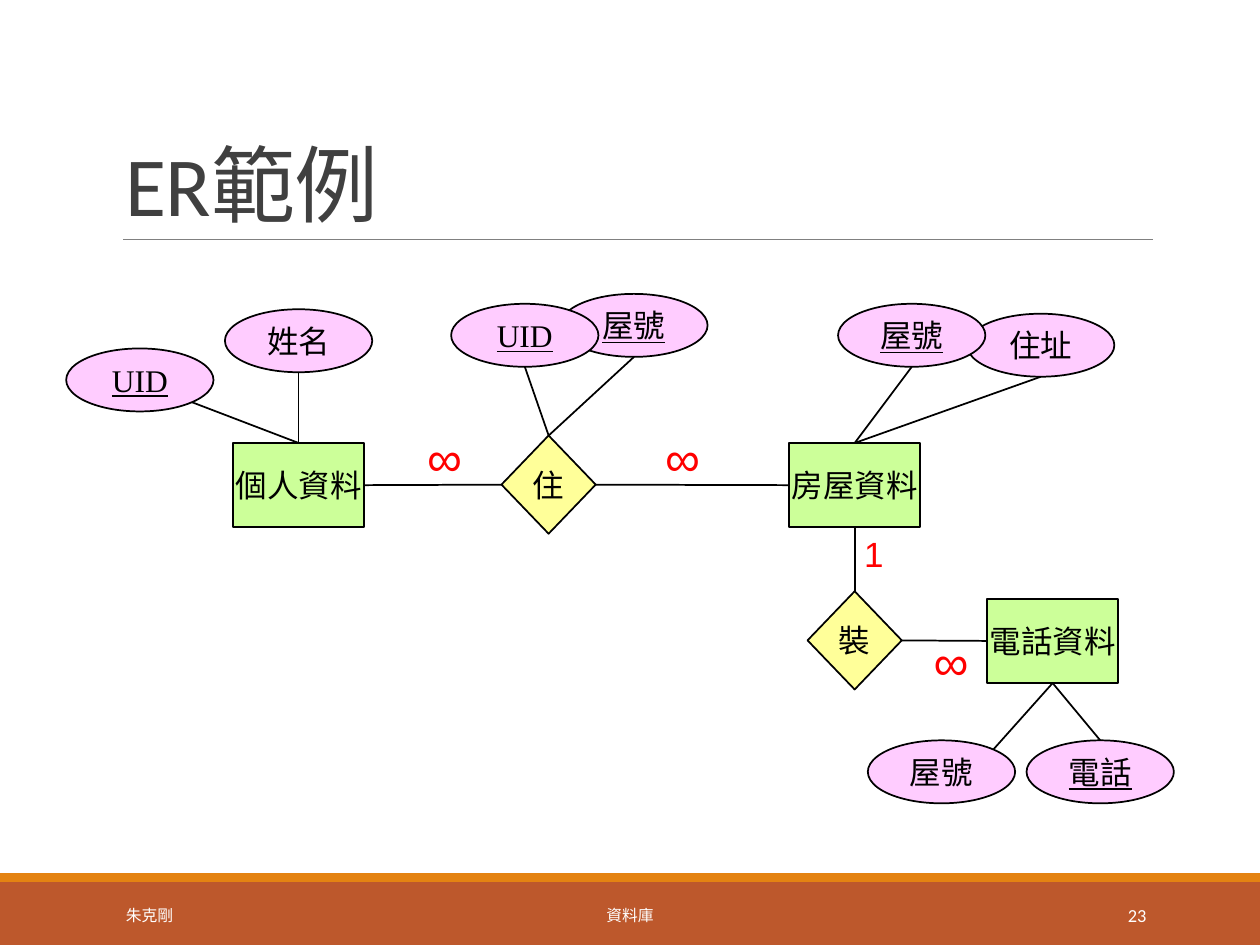
from lxml.etree import SubElement
from pptx import Presentation
from pptx.dml.color import RGBColor
from pptx.enum.shapes import MSO_CONNECTOR as Line, MSO_SHAPE as Kind
from pptx.enum.text import MSO_ANCHOR as Anchor, PP_ALIGN as Align
from pptx.oxml.ns import qn
from pptx.util import Cm, Pt

COLORS = {
    "white": "FFFFFF", "black": "000000", "title": "404040", "rule": "808080",
    "band": "BD582C", "stripe": "E48312", "entity": "CCFF99",
    "relation": "FFFF99", "attribute": "FFCCFF", "count": "FF0000",
}

# Kind of node: preset shape, width, height in cm
NODE_KINDS = {
    "entity": (Kind.RECTANGLE, 2.65, 1.7),
    "relation": (Kind.DIAMOND, 1.9, 1.98),
    "attribute": (Kind.OVAL, 2.97, 1.27),
}

# Name: kind, text, centre x, centre y, underlined
NODES = {
    "live": ("relation", "住", 9.71, 3.85, False),
    "person": ("entity", "個人資料", 4.67, 3.86, False),
    "house": ("entity", "房屋資料", 15.88, 3.86, False),
    "person name": ("attribute", "姓名", 4.67, 0.95, False),
    "house address": ("attribute", "住址", 19.63, 1.04, False),
    "phone number": ("attribute", "電話", 20.83, 9.64, True),
    "live house": ("attribute", "屋號", 11.43, 0.64, True),
    "house id": ("attribute", "屋號", 17.03, 0.84, True),
    "person id": ("attribute", "UID", 1.47, 1.74, True),
    "live person": ("attribute", "UID", 9.23, 0.84, True),
    "install": ("relation", "裝", 15.88, 6.99, False),
    "phone": ("entity", "電話資料", 19.87, 7.0, False),
    "phone house": ("attribute", "屋號", 17.63, 9.64, False),
}

# Points on a node's edge, as shares of its size from the centre
SIDES = {
    "top": (0, -0.5), "bottom": (0, 0.5), "left": (-0.5, 0), "right": (0.5, 0),
    "lower right": (0.35, 0.35), "upper right": (0.35, -0.35),
}

LINKS = [
    ("person", "right", "live", "left"),
    ("live", "right", "house", "left"),
    ("person name", "bottom", "person", "top"),
    ("person id", "lower right", "person", "top"),
    ("live person", "bottom", "live", "top"),
    ("live house", "bottom", "live", "top"),
    ("house id", "bottom", "house", "top"),
    ("house address", "bottom", "house", "top"),
    ("install", "top", "house", "bottom"),
    ("install", "right", "phone", "left"),
    ("phone house", "upper right", "phone", "bottom"),
    ("phone number", "top", "phone", "bottom"),
]

# Text, left, top, width, height, size
COUNTS = [
    ("∞", 7.26, 2.7, 0.71, 1.19, 28),
    ("∞", 12.06, 2.69, 0.71, 1.19, 28),
    ("∞", 17.47, 6.81, 0.71, 1.19, 28),
    ("1", 16.07, 4.81, 0.36, 0.84, 20),
]


def color(name):
    return RGBColor.from_string(COLORS[name])


def write(box, text, font, size, ink, align=Align.LEFT, anchor=Anchor.MIDDLE):
    frame = box.text_frame
    frame.text = text
    frame.vertical_anchor = anchor
    para = frame.paragraphs[0]
    para.alignment = align
    para.font.name = font
    para.font.size = Pt(size)
    para.font.color.rgb = color(ink)
    return para


def add_shape(page, kind, left, top, width, height, fill):
    shape = page.shapes.add_shape(kind, Cm(left), Cm(top), Cm(width), Cm(height))
    shape.shadow.inherit = False
    shape.fill.solid()
    shape.fill.fore_color.rgb = color(fill)
    shape.line.fill.background()
    return shape


def add_line(page, start, end, ink, width):
    line = page.shapes.add_connector(Line.STRAIGHT, *map(Cm, start + end))
    line.line.color.rgb = color(ink)
    line.line.width = Pt(width)
    SubElement(line._element.spPr, qn("a:effectLst"))


def add_title(page, left, top, width, height):
    title = page.shapes.title
    title.left, title.top, title.width, title.height = map(Cm, (left, top, width, height))
    para = write(title, "ER範例", "Calibri", 48, "title", anchor=Anchor.BOTTOM)
    para.line_spacing = 0.85
    para.runs[0].font._element.set("spc", "-50")
    bottom = top + height
    add_line(page, (left + 0.2, bottom), (left + width, bottom), "rule", 0.5)


def add_footer(page, left, top, width, height):
    add_shape(page, Kind.RECTANGLE, left, top, width, height, "band")
    add_shape(page, Kind.RECTANGLE, left, top - 0.18, width, 0.18, "stripe")
    for text, offset, span, size, align in [
        ("朱克剛", 2.29, 5.16, 9, Align.LEFT),
        ("資料庫", 7.67, 10.06, 9, Align.CENTER),
        ("23", 20.62, 2.74, 10.5, Align.RIGHT),
    ]:
        box = page.shapes.add_textbox(Cm(left + offset), Cm(top + 0.16), Cm(span), Cm(1.02))
        box.text_frame.word_wrap = True
        write(box, text, "Calibri", size, "white", align)


def add_diagram(page, left, top):
    def edge_point(name, side):
        kind, _, x, y, _ = NODES[name]
        _, width, height = NODE_KINDS[kind]
        across, down = SIDES[side]
        return left + x + across * width, top + y + down * height

    # Links
    for source, source_side, target, target_side in LINKS:
        add_line(page, edge_point(source, source_side),
                 edge_point(target, target_side), "black", 1)

    # Entities, relations and attributes
    for kind, text, x, y, underlined in NODES.values():
        preset, width, height = NODE_KINDS[kind]
        node = add_shape(page, preset, left + x - width / 2, top + y - height / 2,
                         width, height, kind)
        node.line.color.rgb = color("black")
        node.line.width = Pt(1)
        node.text_frame.word_wrap = False
        para = write(node, text, "Times New Roman", 18, "black", Align.CENTER)
        if underlined:
            para.runs[0].font.underline = True

    # Cardinalities
    for text, x, y, width, height, size in COUNTS:
        box = page.shapes.add_textbox(Cm(left + x), Cm(top + y), Cm(width), Cm(height))
        frame = box.text_frame
        frame.word_wrap = False
        frame.margin_left = frame.margin_right = frame.margin_top = frame.margin_bottom = 0
        write(box, text, "Arial", size, "count", anchor=Anchor.TOP)


deck = Presentation()
deck.slide_width, deck.slide_height = Cm(25.4), Cm(19.05)
page = deck.slides.add_slide(deck.slide_layouts[5])
page.background.fill.solid()
page.background.fill.fore_color.rgb = color("white")
add_footer(page, 0, 17.78, 25.4, 1.27)
add_title(page, 2.28, 0.79, 20.96, 4.04)
add_diagram(page, 1.35, 5.92)
deck.save("out.pptx")
